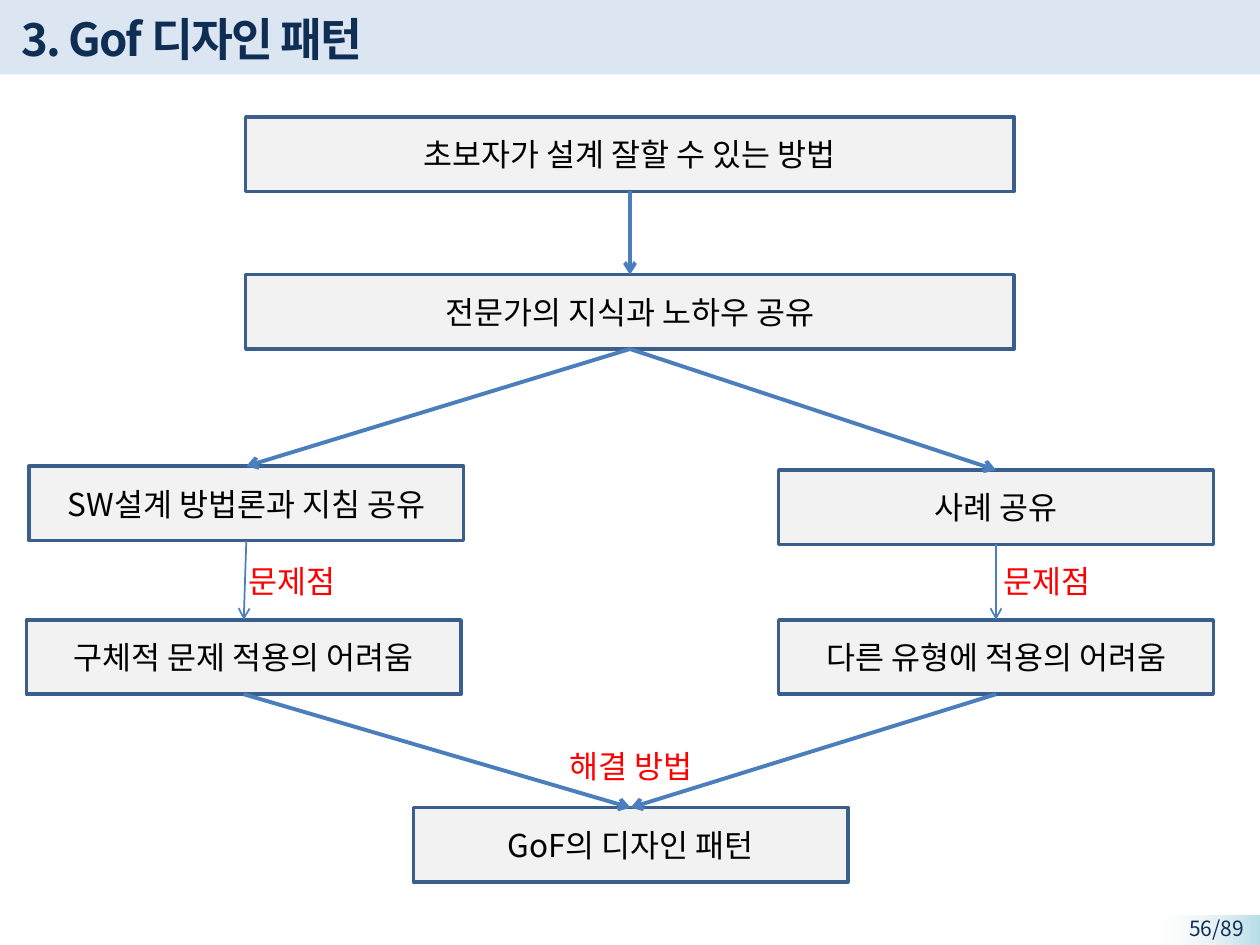
"""Build the design pattern flow slide."""
from lxml import etree
from pptx import Presentation, util as u
from pptx.dml.color import RGBColor
from pptx.enum import shapes, text
from pptx.oxml.ns import qn

THEME = {
    "font": "Noto Sans CJK KR",
    "title_size": 26, "body_size": 18, "number_size": 12,
    "band": "DCE6F2", "title": "0F2E53", "black": "000000", "label": "FF0000",
    "box": "F2F2F2", "border": "3A5F8C", "arrow": "4B7EBC", "corner": "B7DEE8",
}
TITLE = "3. Gof 디자인 패턴"
PAGE_NUMBER = "56/89"
BOX_HEIGHT, WIDE, NARROW = 0.59, 6.1, 3.45
BOXES = {
    "question": ("초보자가 설계 잘할 수 있는 방법", 1.95, 0.93, WIDE),
    "sharing": ("전문가의 지식과 노하우 공유", 1.95, 2.18, WIDE),
    "method": ("SW설계 방법론과 지침 공유", 0.23, 3.7, NARROW),
    "case": ("사례 공유", 6.18, 3.73, NARROW),
    "method_problem": ("구체적 문제 적용의 어려움", 0.21, 4.92, NARROW),
    "case_problem": ("다른 유형에 적용의 어려움", 6.18, 4.92, NARROW),
    "pattern": ("GoF의 디자인 패턴", 3.28, 6.41, NARROW),
}
ARROWS = [
    ("question", "sharing", 2.25),
    ("sharing", "method", 2.25),
    ("sharing", "case", 2.25),
    ("method", "method_problem", 1),
    ("case", "case_problem", 1),
    ("method_problem", "pattern", 2.25),
    ("case_problem", "pattern", 2.25),
]
LABELS = [
    ("문제점", 1.77, 4.4, 1.1),
    ("문제점", 7.76, 4.4, 1.1),
    ("해결 방법", 4.01, 5.87, 1.99),
]
TOP_SITE, BOTTOM_SITE = 0, 2


def color(name):
    return RGBColor.from_string(THEME[name])


def inches(*lengths):
    return [u.Inches(length) for length in lengths]


def write(shape, words, size, ink, align=text.PP_ALIGN.CENTER, bold=False):
    frame = shape.text_frame
    frame.text = words
    frame.word_wrap = True
    frame.vertical_anchor = text.MSO_ANCHOR.MIDDLE
    paragraph = frame.paragraphs[0]
    paragraph.alignment = align
    run = paragraph.runs[0]
    run.font.name = THEME["font"]
    run.font.size = u.Pt(THEME[size])
    run.font.bold = bold
    run.font.color.rgb = color(ink)
    properties = run.font._element
    latin = properties.find(qn("a:latin"))
    east_asian = etree.Element(qn("a:ea"), typeface=THEME["font"])
    latin.addnext(east_asian)
    return run


def add_rectangle(slide, *place):
    shape = slide.shapes.add_shape(shapes.MSO_SHAPE.RECTANGLE, *inches(*place))
    shape.shadow.inherit = False
    shape.line.fill.background()
    return shape


def add_frame(slide):
    band = add_rectangle(slide, 0, -0.02, 10, 0.61)
    band.fill.solid()
    band.fill.fore_color.rgb = color("band")

    corner = add_rectangle(slide, 9.2, 7.27, 0.8, 0.24)
    corner.fill.gradient()
    corner.fill.gradient_angle = 180
    for stop, name in zip(corner.fill.gradient_stops, ("corner", "box")):
        stop.color.rgb = color(name)
        stop.position = 0 if name == "corner" else 1
    last_color = corner.element.findall(".//" + qn("a:gs"))[-1][0]
    etree.SubElement(last_color, qn("a:alpha"), val="0")

    number = slide.shapes.add_textbox(*inches(9.05, 7.22, 0.92, 0.3))
    write(number, PAGE_NUMBER, "number_size", "title", text.PP_ALIGN.RIGHT)

    title = slide.shapes.title
    title.left, title.top, title.width, title.height = inches(0.07, 0.04, 8.51, 0.52)
    run = write(title, TITLE, "title_size", "title", text.PP_ALIGN.LEFT, True)
    run.font._element.set("spc", "-100")
    number.element.addnext(title.element)


def add_box(slide, words, left, top, width):
    box = add_rectangle(slide, left, top, width, BOX_HEIGHT)
    box.fill.solid()
    box.fill.fore_color.rgb = color("box")
    box.line.color.rgb = color("border")
    box.line.width = u.Pt(2)
    write(box, words, "body_size", "black")
    return box


def add_arrow(slide, source, target, weight):
    arrow = slide.shapes.add_connector(shapes.MSO_CONNECTOR.STRAIGHT, 0, 0, 0, 0)
    arrow.begin_connect(source, BOTTOM_SITE)
    arrow.end_connect(target, TOP_SITE)
    arrow.line.color.rgb = color("arrow")
    arrow.line.width = u.Pt(weight)
    properties = arrow.element.spPr
    etree.SubElement(properties.find(qn("a:ln")), qn("a:tailEnd"), type="arrow")
    etree.SubElement(properties, qn("a:effectLst"))


def main():
    presentation = Presentation()
    presentation.slide_width, presentation.slide_height = inches(10, 7.5)
    slide = presentation.slides.add_slide(presentation.slide_layouts[5])
    add_frame(slide)
    boxes = {name: add_box(slide, *details) for name, details in BOXES.items()}
    for source, target, weight in ARROWS:
        add_arrow(slide, boxes[source], boxes[target], weight)
    for words, left, top, width in LABELS:
        label = slide.shapes.add_textbox(*inches(left, top, width, 0.42))
        write(label, words, "body_size", "label")
    presentation.save("out.pptx")


if __name__ == "__main__":
    main()
